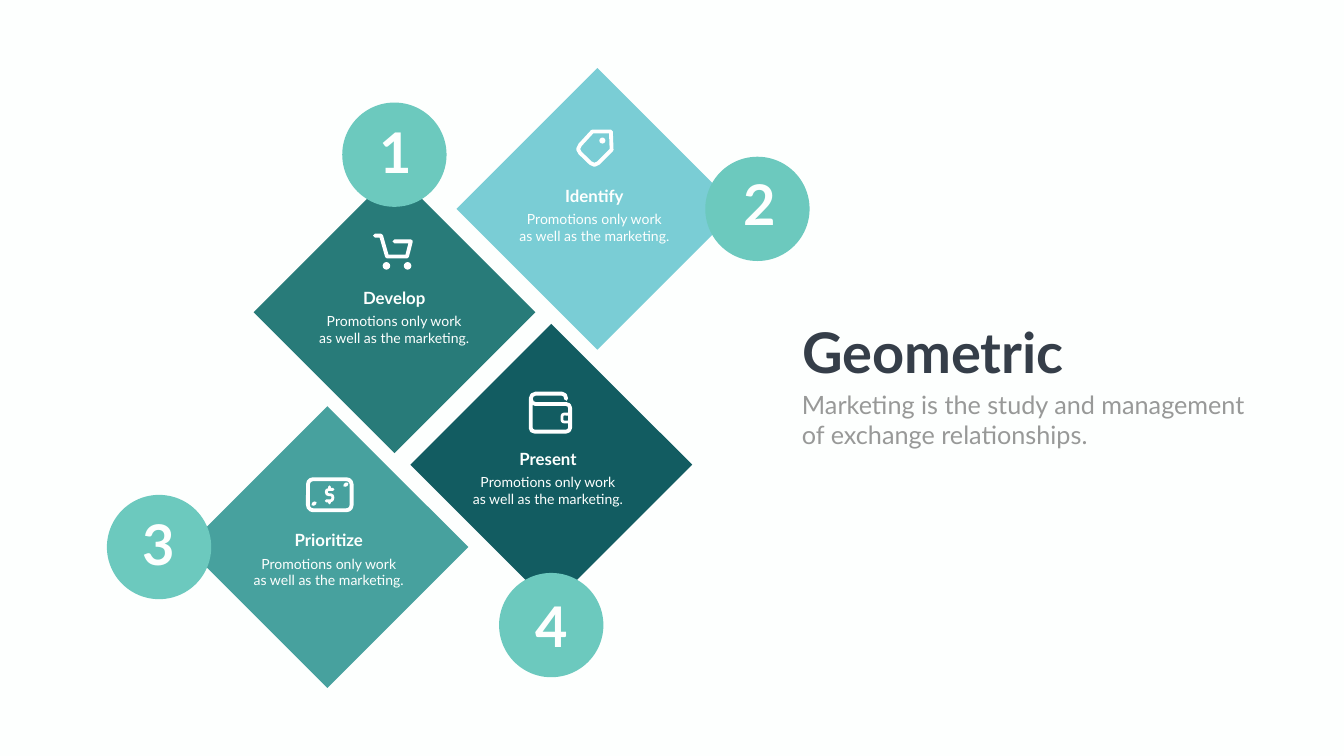
from lxml.etree import SubElement
from pptx import Presentation
from pptx.dml.color import RGBColor
from pptx.enum.shapes import MSO_CONNECTOR, MSO_SHAPE as Shape
from pptx.enum.text import MSO_ANCHOR, MSO_AUTO_SIZE, PP_ALIGN as Align
from pptx.oxml.ns import qn
from pptx.util import Pt

PAPER = RGBColor(0xFD, 0xFF, 0xFE)
WHITE = RGBColor(0xFF, 0xFF, 0xFF)
INK = RGBColor(0x35, 0x3E, 0x49)
GRAY = RGBColor(0x98, 0x99, 0x98)
MINT = RGBColor(0x6C, 0xC9, 0xBE)
SKY = RGBColor(0x7A, 0xCD, 0xD5)
SEA = RGBColor(0x47, 0xA1, 0x9E)
DEEP = RGBColor(0x12, 0x5C, 0x61)
TEAL = RGBColor(0x28, 0x7B, 0x79)

FONT = "Lato"
DIAMOND = 402.5
BADGE = 149
STROKE = 5.5

HEADING = "Geometric"
SUBTITLE = ["Marketing is the study and management", "of exchange relationships."]
DETAIL = ["Promotions only work", "as well as the marketing."]

# label, colour, diamond centre, label centre x and top, icon, icon corner
STEPS = [
    ("Identify", SKY, (853.2, 298.4), (848.9, 262), "tag", (821.5, 185)),
    ("Prioritize", SEA, (467.6, 781.5), (469.5, 753.8), "banknote", (437, 681.8)),
    ("Present", DEEP, (787.3, 663.8), (782.6, 637.5), "wallet", (754, 559.4)),
    ("Develop", TEAL, (563.4, 446), (563, 407.5), "cart", (532.8, 334.1)),
]

# digit, badge centre, digit centre
BADGES = [
    ("1", (563.3, 221), (564.8, 216.4)),
    ("2", (1081.8, 298.4), (1085.4, 290.5)),
    ("3", (227.2, 781.5), (227.2, 777.2)),
    ("4", (787.3, 893), (787.3, 893.2)),
]

# Parts measured from the icon's corner:
#   lines: (width, closed, points), dots: (x, y, diameter),
#   frames: (x, y, width, height, corner radius, line width)
ICONS = {
    "cart": {
        "lines": [(STROKE, False, [(2.8, 2.5), (11.5, 2.5), (20, 32.4), (48.5, 32.4),
                                   (54, 10.8), (30.5, 10.8)])],
        "dots": [(13.7, 40.3, 10.8), (43.9, 40.3, 10.8)],
    },
    "tag": {
        "lines": [(STROKE, True, [(24.5, 2.9), (51, 2.9), (52, 29), (33, 48), (27.5, 50.5),
                                  (22, 48), (7, 33.5), (4, 28), (7, 22)])],
        "dots": [(34.5, 11.5, 8.6)],
    },
    "banknote": {
        "frames": [(2.8, 2.8, 62.4, 44.4, 7.5, STROKE)],
        "lines": [
            (4, False, [(38.7, 17.3), (33, 17.3), (29.8, 18.5), (29, 21), (30, 24), (33, 25),
                        (35.5, 25), (38, 26.5), (38.5, 29.5), (37.5, 32.5), (35, 33.7),
                        (28.9, 33.7)]),
            (4.3, False, [(33.8, 13.6), (33.8, 16)]),
            (4.3, False, [(33.8, 35), (33.8, 36.5)]),
            (5, False, [(55.5, 11.5), (58.5, 9.5)]),
            (5, False, [(10, 38.6), (13, 36.7)]),
        ],
    },
    "wallet": {
        "lines": [(STROKE, True, [(4, 10), (4, 52), (5.5, 55.7), (9.5, 57.2), (54.5, 57.2),
                                  (58.5, 55.7), (60.2, 51.8), (60.2, 23.5), (58.7, 19.3),
                                  (54.5, 17.8), (11, 17.8), (6, 16)]),
                  (STROKE, False, [(4, 10), (6, 5), (11, 2.9), (48.5, 2.9), (53, 5),
                                   (54.6, 10.5)])],
        "frames": [(48.7, 32.2, 11.2, 11.2, 3, 4)],
    },
}


def add_filled(slide, kind, centre, size, color):
    x, y = centre
    shape = slide.shapes.add_shape(kind, Pt(x - size / 2), Pt(y - size / 2), Pt(size), Pt(size))
    shape.shadow.inherit = False
    shape.fill.solid()
    shape.fill.fore_color.rgb = color
    shape.line.fill.background()


def outline(shape, width):
    """Give a shape or connector a white line with round ends and joins."""
    shape.line.color.rgb = WHITE
    shape.line.width = Pt(width)
    properties = shape.element.spPr
    line = properties.find(qn("a:ln"))
    line.set("cap", "rnd")
    SubElement(line, qn("a:round"))
    if properties.find(qn("a:effectLst")) is None:
        SubElement(properties, qn("a:effectLst"))


def add_icon(slide, parts, left, top):
    shapes = slide.shapes
    for x, y, width, height, radius, weight in parts.get("frames", []):
        frame = shapes.add_shape(Shape.ROUNDED_RECTANGLE, Pt(left + x), Pt(top + y),
                                 Pt(width), Pt(height))
        frame.adjustments[0] = radius / min(width, height)
        frame.fill.background()
        outline(frame, weight)
    for weight, closed, points in parts.get("lines", []):
        points = [(Pt(left + x), Pt(top + y)) for x, y in points]
        if len(points) == 2:
            stroke = shapes.add_connector(MSO_CONNECTOR.STRAIGHT, *points[0], *points[1])
        else:
            builder = shapes.build_freeform(*points[0])
            builder.add_line_segments(points[1:], close=closed)
            stroke = builder.convert_to_shape()
            stroke.fill.background()
        outline(stroke, weight)
    for x, y, size in parts.get("dots", []):
        centre = left + x + size / 2, top + y + size / 2
        add_filled(slide, Shape.OVAL, centre, size, WHITE)


def write(box, lines, size, color, bold=False, align=Align.LEFT, wrap=True):
    frame = box.text_frame
    frame.auto_size = MSO_AUTO_SIZE.NONE
    frame.word_wrap = wrap
    frame.vertical_anchor = MSO_ANCHOR.TOP
    frame.text = "\n".join(lines)
    for paragraph in frame.paragraphs:
        paragraph.alignment = align
        paragraph.font.name = FONT
        paragraph.font.size = Pt(size)
        paragraph.font.bold = bold
        paragraph.font.color.rgb = color


def add_centred_text(slide, x, top, width, height, lines, size, bold=False):
    box = slide.shapes.add_textbox(Pt(x - width / 2), Pt(top), Pt(width), Pt(height))
    write(box, lines, size, PAPER, bold, Align.CENTER)


def main():
    deck = Presentation()
    deck.slide_width, deck.slide_height = Pt(1919.5), Pt(1080)
    slide = deck.slides.add_slide(deck.slide_layouts[5])
    slide.background.fill.solid()
    slide.background.fill.fore_color.rgb = PAPER

    title = slide.shapes.title
    title.left, title.top, title.width, title.height = Pt(1138.3), Pt(450), Pt(395.3), Pt(104.4)
    write(title, [HEADING], 80, INK, bold=True, wrap=False)
    subtitle = slide.shapes.add_textbox(Pt(1138.3), Pt(552.2), Pt(701.3), Pt(94.3))
    write(subtitle, SUBTITLE, 36, GRAY)

    for _, color, centre, *_ in STEPS:
        add_filled(slide, Shape.DIAMOND, centre, DIAMOND, color)
    for digit, centre, (x, y) in BADGES:
        add_filled(slide, Shape.OVAL, centre, BADGE, MINT)
        add_centred_text(slide, x, y - 52.2, 61.2, 104.4, [digit], 80, bold=True)
    for label, _, _, (x, top), icon, corner in STEPS:
        add_icon(slide, ICONS[icon], *corner)
        add_centred_text(slide, x, top, 181.4, 36, [label], 24, bold=True)
        add_centred_text(slide, x, top + 35.6, 322.6, 55.4, DETAIL, 20)

    deck.save("out.pptx")


if __name__ == "__main__":
    main()
